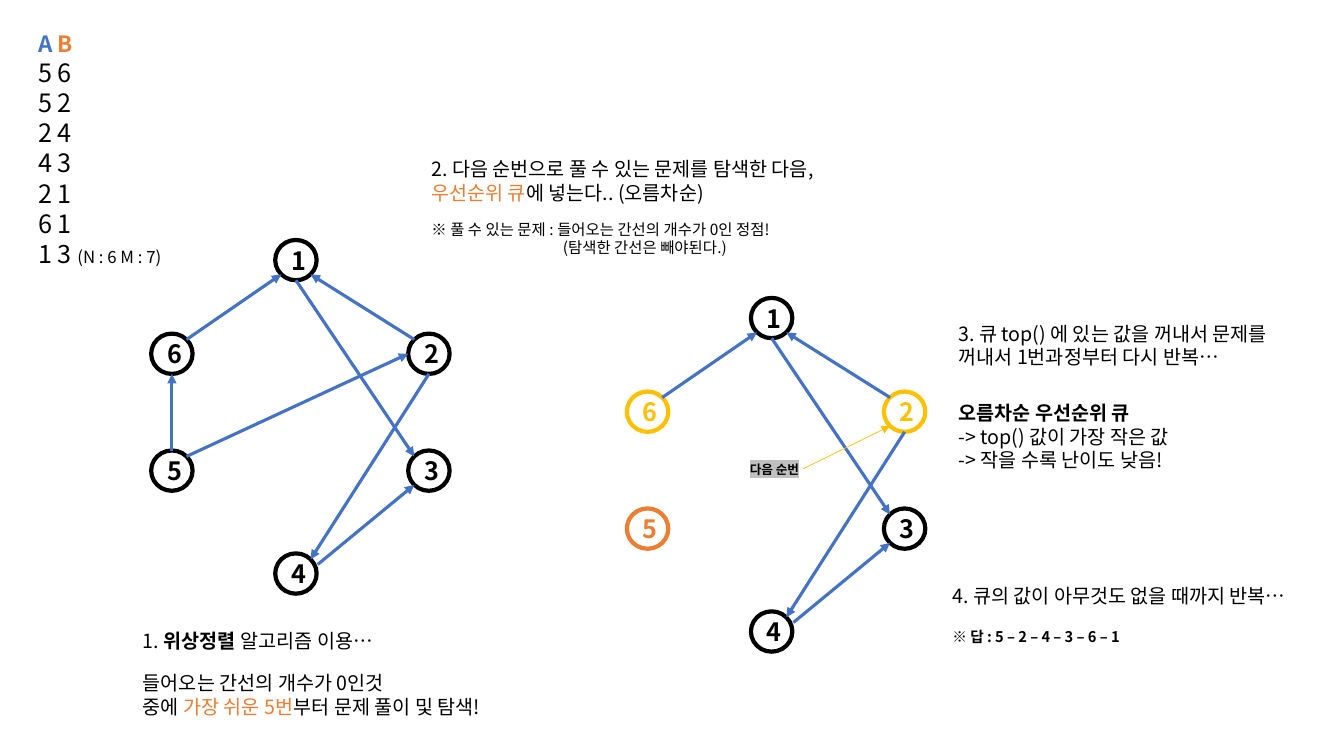
from typing import NamedTuple

from lxml import etree
from pptx import Presentation
from pptx.dml.color import RGBColor
from pptx.enum.shapes import MSO_CONNECTOR, MSO_SHAPE
from pptx.enum.text import MSO_ANCHOR, MSO_AUTO_SIZE, PP_ALIGN
from pptx.oxml.ns import qn
from pptx.util import Pt

OVAL = MSO_SHAPE.OVAL
STRAIGHT = MSO_CONNECTOR.STRAIGHT
MIDDLE = MSO_ANCHOR.MIDDLE
GROW = MSO_AUTO_SIZE.SHAPE_TO_FIT_TEXT
CENTER = PP_ALIGN.CENTER

FONT = "Noto Sans CJK KR"
COLORS = {
    "black": "000000",
    "white": "FFFFFF",
    "blue": "4472C4",
    "orange": "ED7D31",
    "gold": "FFC000",
    "gray": "C0C0C0",
}
WIDE, HIGH = 29.6, 28.8
DIAG = 0.707

Point = tuple[float, float]


class Run(NamedTuple):
    text: str
    color: str = ""
    bold: bool = False
    size: float = 0
    mark: str = ""


class Para(NamedTuple):
    runs: list[Run]
    size: float = 14
    color: str = "black"
    bold: bool = False
    indent: float = 0


class Note(NamedTuple):
    left: float
    top: float
    width: float
    height: float
    paras: list[Para]


class Edge(NamedTuple):
    tail: str
    head: str
    start: Point
    end: Point


class Graph(NamedTuple):
    shift: Point
    tints: dict[str, str]
    edges: list[Edge]


TOP, BOTTOM, LEFT = (0, -1), (0, 1), (-1, 0)
TOP_LEFT, TOP_RIGHT = (-DIAG, -DIAG), (DIAG, -DIAG)
LOW_LEFT, LOW_RIGHT = (-DIAG, DIAG), (DIAG, DIAG)

NODES = {
    "1": (211.4, 185.8),
    "3": (306.4, 336.2),
    "2": (306.4, 252.7),
    "4": (211.4, 409.7),
    "6": (122.8, 252.7),
    "5": (122.8, 336.2),
}
KEPT = [
    Edge("6", "1", TOP_RIGHT, LOW_LEFT),
    Edge("4", "3", (1.05, -0.45), LOW_LEFT),
    Edge("2", "1", TOP_LEFT, LOW_RIGHT),
    Edge("1", "3", BOTTOM, TOP_LEFT),
    Edge("2", "4", BOTTOM, TOP_RIGHT),
]
SOLVED = [
    Edge("5", "6", TOP, BOTTOM),
    Edge("5", "2", TOP_RIGHT, LEFT),
]
FIRST = Graph((0, 0), {}, KEPT + SOLVED)
SECOND = Graph((339.8, 41.4), {"2": "gold", "6": "gold", "5": "orange"}, KEPT)

PAIRS = ["5 6", "5 2", "2 4", "4 3", "2 1", "6 1"]
NOTES = [
    Note(20.2, 18, 125.3, 181.4, [
        Para([Run("A "), Run("B", "orange")], 16, "blue", True),
        *[Para([Run(pair)], 18) for pair in PAIRS],
        Para([Run("1 3 "), Run("(N : 6 M : 7)", size=12)], 18),
    ]),
    Note(95, 445.7, 233.3, 24.5, [
        Para([Run("1. "), Run("위상정렬", bold=True), Run(" 알고리즘 이용…")]),
    ]),
    Note(95, 475.9, 285.1, 41, [
        Para([Run("들어오는 간선의 개수가 0인것")]),
        Para([Run("중에 "), Run("가장 쉬운 5번", "orange"),
              Run("부터 문제 풀이 및 탐색!")]),
    ]),
    Note(301, 108.7, 339.8, 41, [
        Para([Run("2. 다음 순번으로 풀 수 있는 문제를 탐색한 다음,")]),
        Para([Run("우선순위 큐", "orange"), Run("에 넣는다.. (오름차순)")]),
    ]),
    Note(301, 153.4, 316.1, 33.8, [
        Para([Run("※ ", bold=True),
              Run("풀 수 있는 문제 : 들어오는 간선의 개수가 0인 정점!")], 11),
        Para([Run("(탐색한 간선은 빼야된다.)")], 11, indent=94),
    ]),
    Note(677.5, 226.1, 263.5, 41, [
        Para([Run("3. 큐 top() 에 있는 값을 꺼내서 문제를 꺼내서 1번과정부터 다시 반복…")]),
    ]),
    Note(677.5, 283, 191.5, 58.3, [
        Para([Run("오름차순 우선순위 큐")], bold=True),
        Para([Run("-> top() 값이 가장 작은 값")]),
        Para([Run("-> 작을 수록 난이도 낮음!")]),
    ]),
    Note(673.2, 413.3, 283.7, 24.5, [
        Para([Run("4. 큐의 값이 아무것도 없을 때까지 반복…")]),
    ]),
    Note(673.2, 445, 154.8, 20.2, [
        Para([Run("※ 답 : 5 – 2 – 4 – 3 – 6 – 1")], 10.5, bold=True),
    ]),
    Note(528.5, 326.2, 56.2, 18, [
        Para([Run("다음 순번", mark="gray")], 9, bold=True),
    ]),
]


def tint(name: str) -> RGBColor:
    return RGBColor.from_string(COLORS[name])


def set_font(para, size: float, color: str, bold: bool) -> None:
    font = para.font
    font.size, font.bold, font.name = Pt(size), bold, FONT
    font.color.rgb = tint(color)
    etree.SubElement(font._rPr, qn("a:ea"), typeface=FONT)


def add_run(para, item: Run) -> None:
    run = para.add_run()
    run.text = item.text
    if item.color:
        run.font.color.rgb = tint(item.color)
    if item.bold:
        run.font.bold = True
    if item.size:
        run.font.size = Pt(item.size)
    if item.mark:
        mark = etree.SubElement(run.font._rPr, qn("a:highlight"))
        etree.SubElement(mark, qn("a:srgbClr"), val=COLORS[item.mark])


def add_note(slide, note: Note) -> None:
    box = slide.shapes.add_textbox(*map(Pt, note[:4]))
    frame = box.text_frame
    frame.word_wrap, frame.auto_size = True, GROW
    for place, item in enumerate(note.paras):
        para = frame.add_paragraph() if place else frame.paragraphs[0]
        set_font(para, item.size, item.color, item.bold)
        if item.indent:
            para._p.get_or_add_pPr().set("marL", str(Pt(item.indent)))
        for run in item.runs:
            add_run(para, run)


def add_node(slide, label: str, mid: Point, color: str) -> None:
    node = slide.shapes.add_shape(
        OVAL, Pt(mid[0] - WIDE / 2), Pt(mid[1] - HIGH / 2), Pt(WIDE), Pt(HIGH))
    node.shadow.inherit = False
    node.fill.solid()
    node.fill.fore_color.rgb = tint("white")
    node.line.color.rgb = tint(color)
    node.line.width = Pt(3)
    node.text_frame.vertical_anchor = MIDDLE
    para = node.text_frame.paragraphs[0]
    para.alignment = CENTER
    set_font(para, 18, color, True)
    add_run(para, Run(label))


def add_arrow(slide, start: Point, end: Point, color: str, width: float) -> None:
    arrow = slide.shapes.add_connector(STRAIGHT, *map(Pt, (*start, *end)))
    arrow.line.color.rgb = tint(color)
    arrow.line.width = Pt(width)
    etree.SubElement(arrow.line._get_or_add_ln(), qn("a:tailEnd"), type="triangle")
    etree.SubElement(arrow._element.spPr, qn("a:effectLst"))


def rim(graph: Graph, label: str, side: Point) -> Point:
    (x, y), (dx, dy) = NODES[label], graph.shift
    return x + dx + side[0] * WIDE / 2, y + dy + side[1] * HIGH / 2


def add_graph(slide, graph: Graph) -> None:
    for label in NODES:
        color = graph.tints.get(label, "black")
        add_node(slide, label, rim(graph, label, (0, 0)), color)
    for edge in graph.edges:
        start = rim(graph, edge.tail, edge.start)
        add_arrow(slide, start, rim(graph, edge.head, edge.end), "blue", 2.25)


def main() -> None:
    deck = Presentation()
    deck.slide_width, deck.slide_height = Pt(960), Pt(540)
    slide = deck.slides.add_slide(deck.slide_layouts[6])
    for graph in (FIRST, SECOND):
        add_graph(slide, graph)
    for note in NOTES:
        add_note(slide, note)
    add_arrow(slide, (573.8, 334.8), rim(SECOND, "2", LOW_LEFT), "gold", 0.5)
    deck.save("out.pptx")


if __name__ == "__main__":
    main()
